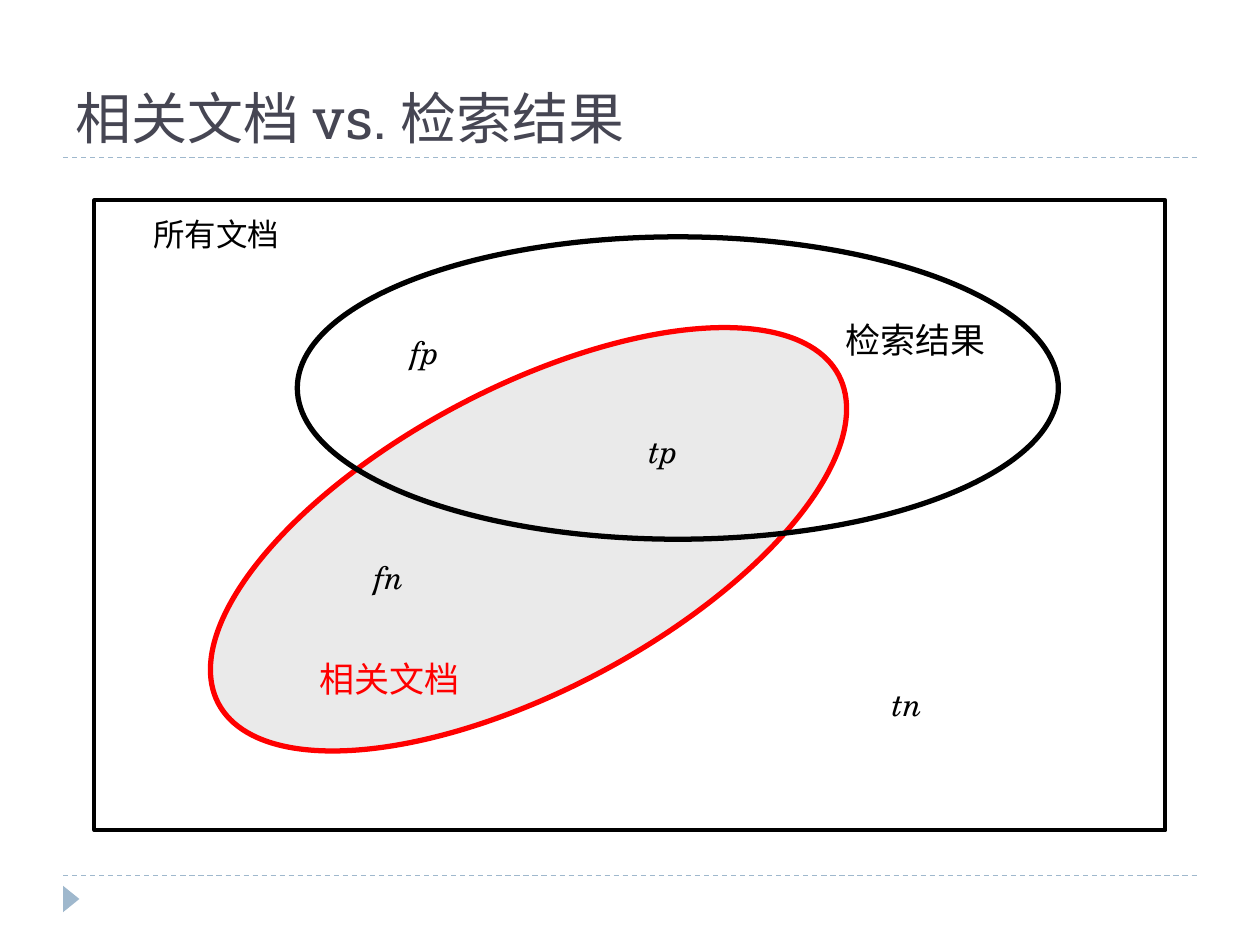
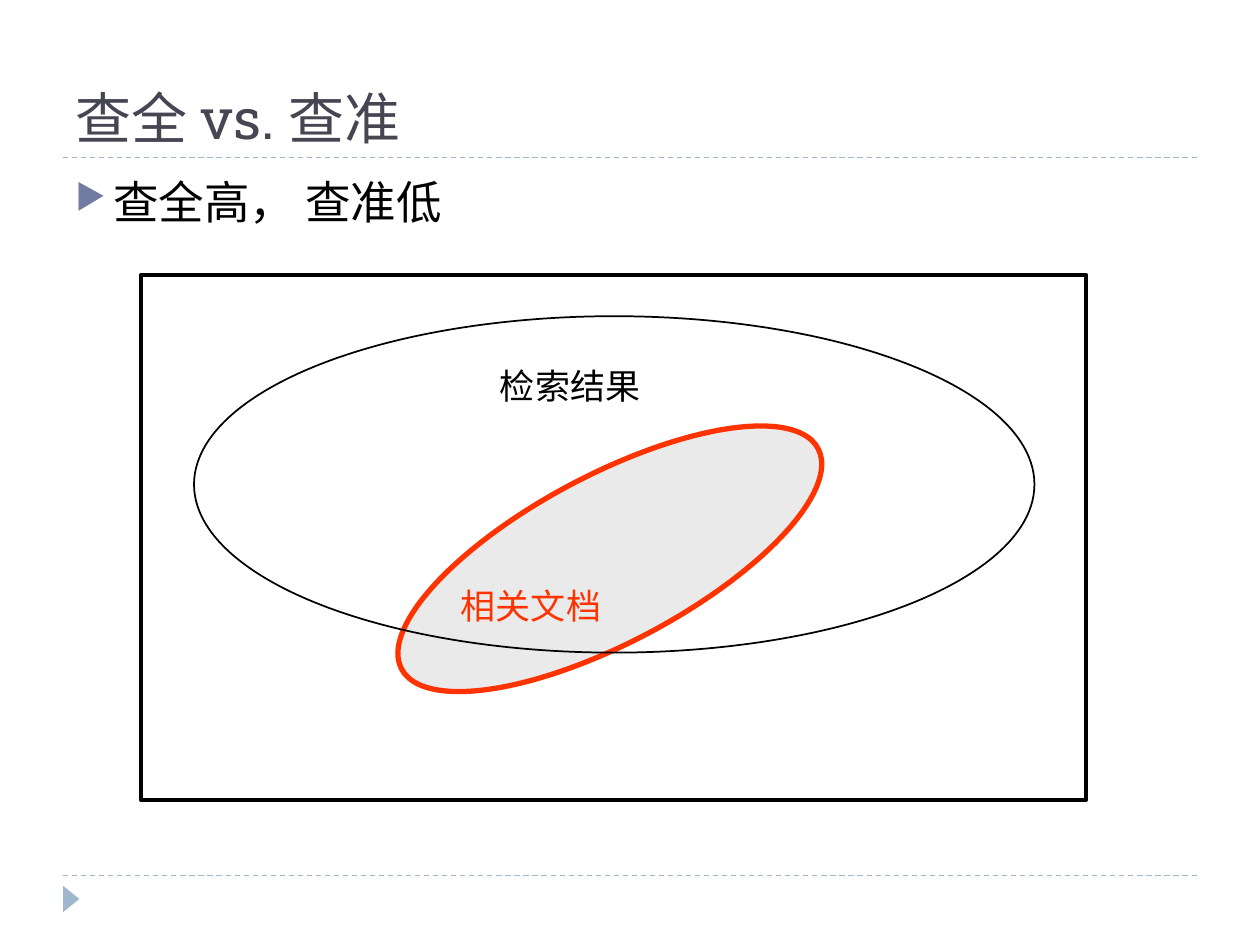
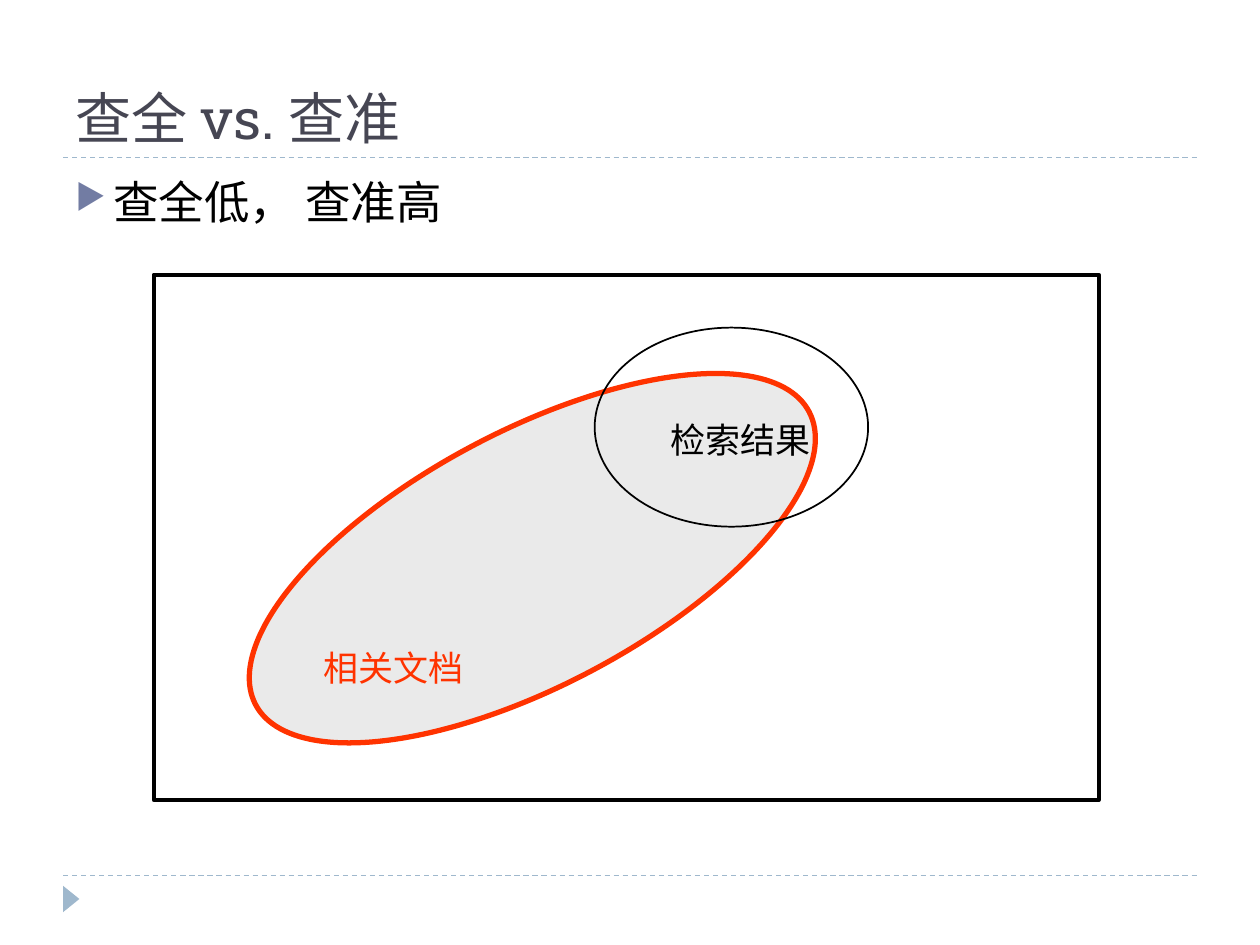
"""Three slides on relevant documents, search results, recall and precision."""
from lxml.etree import SubElement
from pptx import Presentation
from pptx.dml.color import RGBColor
from pptx.enum.dml import MSO_LINE
from pptx.enum.shapes import MSO_CONNECTOR, MSO_SHAPE
from pptx.enum.text import MSO_ANCHOR, MSO_AUTO_SIZE, PP_ALIGN
from pptx.oxml.ns import qn
from pptx.util import Inches, Pt

COLORS = {
    "title": "464653",
    "accent": "9FB8CD",
    "bullet": "727CA3",
    "text": "000000",
    "relevant_fill": "EAEAEA",
    "red": "FF0000",
    "orange": "FF3300",
}
TITLE_FONT = {"name": "Roboto Slab", "size": Pt(32)}
BODY_FONT = {"name": "Cabin", "size": Pt(26)}
SET_FONT = {"name": "Arial", "size": Pt(20)}
ALL_FONT = {"name": "TeX Gyre Schola", "size": Pt(18)}
COUNT_FONT = {**ALL_FONT, "italic": True}
TITLE_FRAME = {"vertical_anchor": MSO_ANCHOR.BOTTOM, "auto_size": MSO_AUTO_SIZE.NONE}
LABEL_FRAME = {"word_wrap": True, "auto_size": MSO_AUTO_SIZE.SHAPE_TO_FIT_TEXT}

TITLE_BOX = (0.5, 0.17, 9, 1.08)
BODY_BOX = (0.5, 1.33, 9, 5.4)
RULE_TOPS = (1.25, 6.95)
RELEVANT_ANGLE = 332.1
SET_LABEL_SIZE = (1.5, 0.44)
ALL_LABEL_SIZE = (1.5, 0.4)
COUNT_LABEL_SIZE = (0.6, 0.4)

OVERVIEW = {
    "title": "相关文档 vs. 检索结果",
    "frame": (0.75, 1.59, 8.5, 5),
    "relevant": (0.66, 1.49, 5.57, 2.4),
    "relevant_label": (1.69, 3.58),
    "relevant_color": "red",
    "results": (1.61, 0.29, 6.04, 2.4),
    "results_label": (5.86, 0.89),
    "results_width": 3,
}
COUNT_LABELS = {"tp": (4.3, 1.79), "fp": (2.41, 1), "fn": (2.12, 2.79), "tn": (6.23, 3.8)}
TRADE_OFF = {"title": "查全 vs. 查准", "relevant_color": "orange", "results_width": 1}
HIGH_RECALL = {
    **TRADE_OFF,
    "point": "查全高， 查准低",
    "frame": (1.12, 2.18, 7.5, 4.17),
    "relevant": (1.85, 1.59, 3.74, 1.33),
    "relevant_label": (2.44, 2.41),
    "results": (0.42, 0.33, 6.67, 2.67),
    "results_label": (2.75, 0.66),
}
HIGH_PRECISION = {
    **TRADE_OFF,
    "point": "查全低， 查准高",
    "frame": (1.22, 2.18, 7.5, 4.17),
    "relevant": (0.52, 1.24, 4.97, 2.02),
    "relevant_label": (1.25, 2.9),
    "results": (3.5, 0.42, 2.17, 1.58),
    "results_label": (4, 1.09),
}


def rgb(name):
    """Return the named colour."""
    return RGBColor.from_string(COLORS[name])


def set_format(target, values):
    """Set each attribute in values on the target."""
    for name, value in values.items():
        setattr(target, name, value)


def inside(box, part):
    """Turn a part's place within a box into slide lengths."""
    left, top, *size = part
    return [Inches(value) for value in (box[0] + left, box[1] + top, *size)]


def write(paragraph, text, font, color="text"):
    """Fill a paragraph with formatted text."""
    paragraph.text = text
    set_format(paragraph.font, font)
    paragraph.font.color.rgb = rgb(color)


def add_outline(slide, kind, place, fill=None, line=None, width=0):
    """Add a preset shape with the given fill and line."""
    shape = slide.shapes.add_shape(kind, *place)
    shape.shadow.inherit = False
    if fill:
        shape.fill.solid()
        shape.fill.fore_color.rgb = rgb(fill)
    else:
        shape.fill.background()
    if line:
        shape.line.color.rgb = rgb(line)
        shape.line.width = Pt(width)
    else:
        shape.line.fill.background()
    return shape


def add_label(slide, place, text, font, color="text"):
    """Add a one-line label."""
    frame = slide.shapes.add_textbox(*place).text_frame
    set_format(frame, LABEL_FRAME)
    write(frame.paragraphs[0], text, font, color)


def add_rules(slide, box):
    """Add the dashed rules and the footer marker."""
    left, right = Inches(box[0]), Inches(box[0] + box[2])
    for top in map(Inches, RULE_TOPS):
        rule = slide.shapes.add_connector(MSO_CONNECTOR.STRAIGHT, left, top, right, top)
        rule.line.color.rgb = rgb("accent")
        set_format(rule.line, {"width": Pt(0.75), "dash_style": MSO_LINE.DASH})
        SubElement(rule.element.spPr, qn("a:effectLst"))
    place = inside(box, (-0.04, 6.9, 0.21, 0.13))
    marker = add_outline(slide, MSO_SHAPE.ISOSCELES_TRIANGLE, place, "accent")
    marker.rotation = 90


def add_title(slide, box, text):
    """Place and format the title placeholder."""
    title = slide.shapes.title
    left, top, width, height = map(Inches, box)
    set_format(title, {"left": left, "top": top, "width": width, "height": height})
    set_format(title.text_frame, TITLE_FRAME)
    paragraph = title.text_frame.paragraphs[0]
    paragraph.alignment = PP_ALIGN.LEFT
    write(paragraph, text, TITLE_FONT, "title")


def add_point(slide, box, text):
    """Add the bulleted statement above the diagram."""
    frame = slide.shapes.add_textbox(*map(Inches, box)).text_frame
    frame.word_wrap = True
    paragraph = frame.paragraphs[0]
    properties = paragraph._p.get_or_add_pPr()
    properties.set("marL", str(Inches(0.3)))
    properties.set("indent", str(-Inches(0.3)))
    color = SubElement(properties, qn("a:buClr"))
    SubElement(color, qn("a:srgbClr"), val=COLORS["bullet"])
    SubElement(properties, qn("a:buSzPct"), val="76000")
    SubElement(properties, qn("a:buFont"), typeface="OpenSymbol")
    SubElement(properties, qn("a:buChar"), char="▶")
    write(paragraph, text, BODY_FONT)


def add_diagram(slide, box, content):
    """Draw the document sets within the frame box."""
    color = content["relevant_color"]
    relevant = add_outline(slide, MSO_SHAPE.OVAL, inside(box, content["relevant"]),
                           "relevant_fill", color, 3)
    relevant.rotation = RELEVANT_ANGLE
    add_outline(slide, MSO_SHAPE.OVAL, inside(box, content["results"]),
                line="text", width=content["results_width"])
    add_outline(slide, MSO_SHAPE.RECTANGLE, [Inches(value) for value in box],
                line="text", width=2.25)
    add_label(slide, inside(box, content["relevant_label"] + SET_LABEL_SIZE),
              "相关文档", SET_FONT, color)
    add_label(slide, inside(box, content["results_label"] + SET_LABEL_SIZE),
              "检索结果", SET_FONT)


def add_counts(slide, box):
    """Name the whole collection and its four regions."""
    add_label(slide, inside(box, (0.37, 0.07) + ALL_LABEL_SIZE), "所有文档", ALL_FONT)
    for text, place in COUNT_LABELS.items():
        add_label(slide, inside(box, place + COUNT_LABEL_SIZE), text, COUNT_FONT)


def add_base_slide(presentation, content):
    """Add a slide with rules, title and diagram."""
    slide = presentation.slides.add_slide(presentation.slide_layouts[5])
    add_rules(slide, TITLE_BOX)
    add_title(slide, TITLE_BOX, content["title"])
    add_diagram(slide, content["frame"], content)
    return slide


def add_overview_slide(presentation, content):
    """Add the slide that names every region."""
    slide = add_base_slide(presentation, content)
    add_counts(slide, content["frame"])


def add_trade_off_slide(presentation, content):
    """Add a slide comparing recall with precision."""
    slide = add_base_slide(presentation, content)
    add_point(slide, BODY_BOX, content["point"])


def main():
    """Build and save the presentation."""
    presentation = Presentation()
    set_format(presentation, {"slide_width": Inches(10), "slide_height": Inches(7.5)})
    add_overview_slide(presentation, OVERVIEW)
    for content in (HIGH_RECALL, HIGH_PRECISION):
        add_trade_off_slide(presentation, content)
    presentation.save("out.pptx")


if __name__ == "__main__":
    main()
